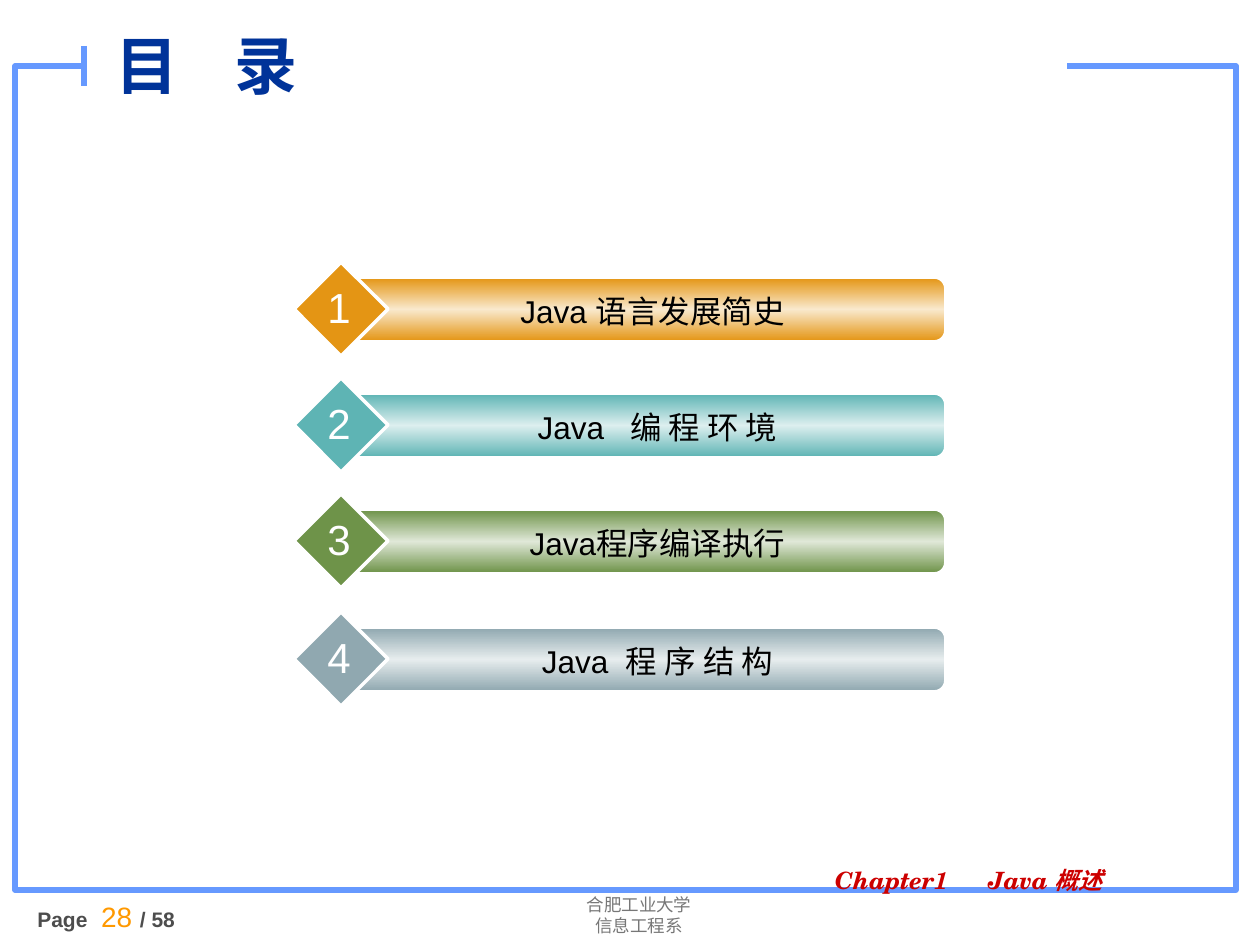
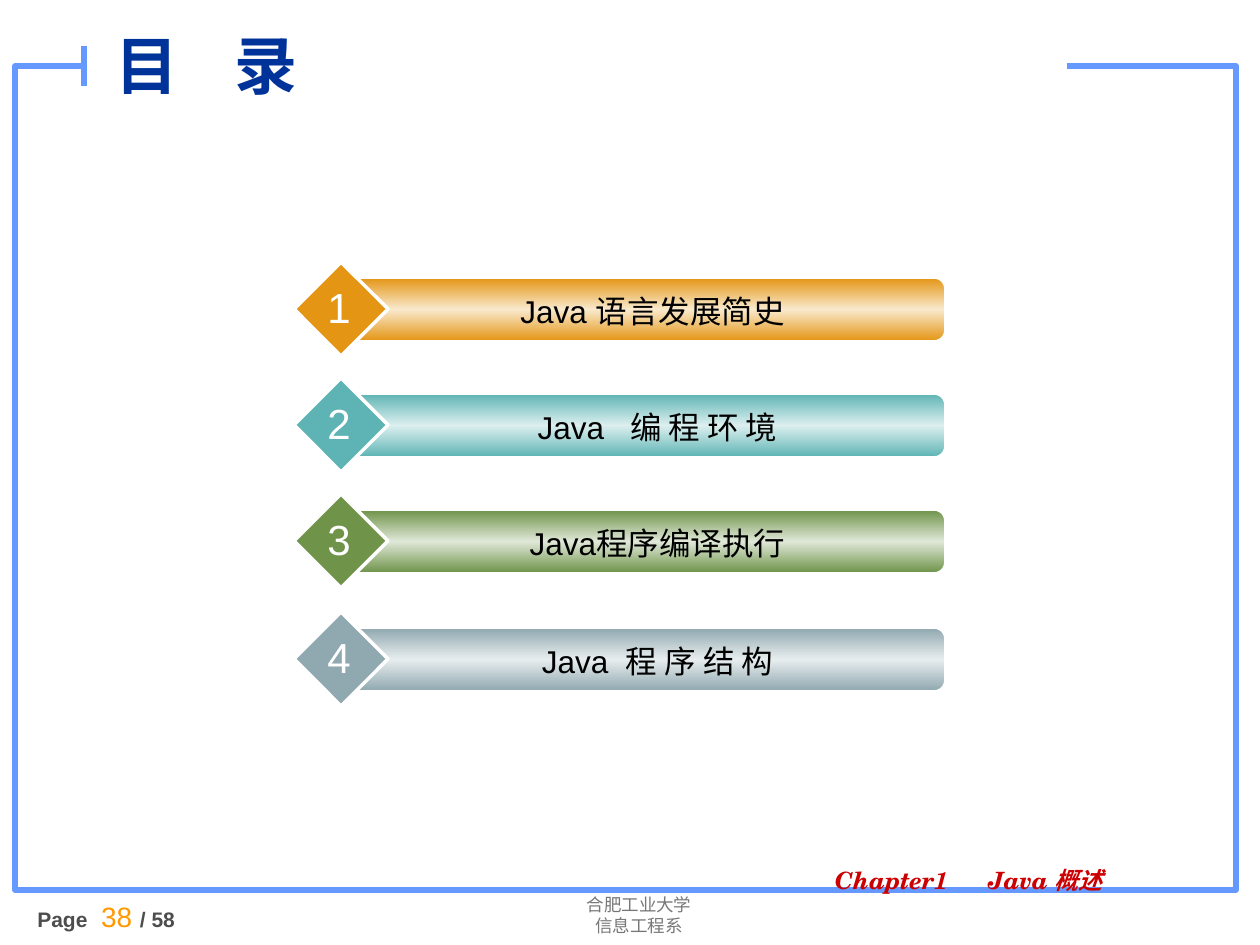
from copy import deepcopy
from dataclasses import dataclass
from typing import NamedTuple, Optional

from lxml.etree import SubElement
from pptx import Presentation
from pptx.dml.color import RGBColor as RGB
from pptx.enum.shapes import MSO_CONNECTOR as CONN, MSO_SHAPE as SHAPE
from pptx.enum.text import MSO_ANCHOR as ANCHOR, MSO_AUTO_SIZE as FIT, PP_ALIGN as ALIGN
from pptx.oxml.ns import qn
from pptx.util import Emu, Pt

EMU_PER_PX = 914400 / 126
TITLE_ONLY = 5
TOTAL_PAGES = 58


@dataclass(frozen=True)
class Theme:
    font: str = "Arial"
    school_font: str = "Roboto"
    chapter_font: str = "TeX Gyre Schola"
    white: str = "FFFFFF"
    black: str = "000000"
    frame: str = "6699FF"
    title: str = "003399"
    school: str = "777777"
    page: str = "4D4D4D"
    page_number: str = "FF9900"
    chapter: str = "CC0000"
    title_pt: float = 36
    digit_pt: float = 24
    label_pt: float = 18
    number_pt: float = 16
    chapter_pt: float = 13.6
    page_pt: float = 12
    school_pt: float = 10


T = Theme()


class Box(NamedTuple):
    x: int
    y: int
    w: int
    h: int


class Gap(NamedTuple):
    """One space widened by some points."""
    extra: float


class Topic(NamedTuple):
    top: int
    label_width: int
    color: str
    glow: str
    label: tuple


TOPICS = (
    Topic(278, 549, "E49514", "F9E9CD", ("Java 语言发展简史",)),
    Topic(394, 559, "5EB4B4", "DDEFEF", ("Java", Gap(10), "编 程 环 境")),
    Topic(510, 559, "6E9349", "E0E8D8", ("Java程序编译执行",)),
    Topic(628, 559, "90A8B0", "E7EDEE", ("Java", Gap(5), "程 序 结 构")),
)


def px(n: float) -> Emu:
    return Emu(round(n * EMU_PER_PX))


def emu(box: Box) -> tuple:
    return tuple(px(n) for n in box)


def rgb(color: str) -> RGB:
    return RGB.from_string(color)


def style(font, name: str, size: float, color: str, bold=False, italic=False) -> None:
    font.name, font.size, font.bold, font.italic = name, Pt(size), bold, italic
    font.color.rgb = rgb(color)


def add_parts(p, parts: tuple) -> None:
    for part in parts:
        r = p.add_run()
        if isinstance(part, Gap):
            r.text = " "
            r.font.element.set("spc", str(round(part.extra * 100))) if hasattr(
                r.font, "element") else r._r.get_or_add_rPr().set("spc", str(round(part.extra * 100)))
        else:
            r.text = part


def add_text(shapes, box: Box, lines: tuple, align=ALIGN.LEFT, wrap=True):
    """Add a text box with one paragraph for each tuple of parts."""
    tf = shapes.add_textbox(*emu(box)).text_frame
    tf.word_wrap = wrap
    for i, parts in enumerate(lines):
        p = tf.add_paragraph() if i else tf.paragraphs[0]
        p.alignment = align
        add_parts(p, parts)
    return tf


def add_block(shapes, kind, box: Box, fill: Optional[str] = None,
              line: Optional[str] = None, width: float = 1):
    sp = shapes.add_shape(kind, *emu(box))
    sp.shadow.inherit = False
    if fill:
        sp.fill.solid()
        sp.fill.fore_color.rgb = rgb(fill)
    else:
        sp.fill.background()
    if line:
        sp.line.color.rgb = rgb(line)
        sp.line.width = Pt(width)
    else:
        sp.line.fill.background()
    return sp


def fill_with_glow(sp, edge: str, middle: str) -> None:
    """Fill with a vertical gradient that is lightest halfway down."""
    sp.fill.gradient()
    sp.fill.gradient_angle = 90
    stops = sp.element.spPr.find(qn("a:gradFill")).find(qn("a:gsLst"))
    stops.append(deepcopy(stops[0]))
    for stop, position, color in zip(sp.fill.gradient_stops, (0, 0.5, 1), (edge, middle, edge)):
        stop.position = position
        stop.color.rgb = rgb(color)


def add_frame(shapes) -> None:
    add_block(shapes, SHAPE.RECTANGLE, Box(15, 66, 1221, 824), line=T.frame, width=3)
    add_block(shapes, SHAPE.RECTANGLE, Box(84, 35, 983, 44), fill=T.white)
    tick = shapes.add_connector(CONN.STRAIGHT, px(84), px(46), px(84), px(86))
    tick.line.color.rgb = rgb(T.frame)
    tick.line.width = Pt(3)
    SubElement(tick.element.spPr, qn("a:effectLst"))


def add_footers(shapes, page: int) -> None:
    school = add_text(shapes, Box(479, 888, 320, 55),
                      (("合肥工业大学",), ("信息工程系",)), ALIGN.CENTER)
    for p in school.paragraphs:
        style(p.font, T.school_font, T.school_pt, T.school)

    p = add_text(shapes, Box(25, 893, 228, 76),
                 (("Page", Gap(4.4), f"{page} ", f"/ {TOTAL_PAGES}"),)).paragraphs[0]
    p.space_before = Pt(7.5)
    style(p.font, T.font, T.page_pt, T.page, bold=True)
    style(p.runs[2].font, T.font, T.number_pt, T.page_number)

    chapter = add_text(shapes, Box(809, 863, 358, 44), (("Chapter1", Gap(19), "Java 概述"),))
    chapter.margin_left = px(26)
    p = chapter.paragraphs[0]
    p.line_spacing = 0.9
    style(p.font, T.chapter_font, T.chapter_pt, T.chapter, bold=True, italic=True)


def set_title(s, parts: tuple) -> None:
    title = s.shapes.title
    title.left, title.top, title.width, title.height = emu(Box(103, 14, 566, 101))
    title.element.getparent().append(title.element)  # in front of the frame
    tf = title.text_frame
    tf.vertical_anchor = ANCHOR.MIDDLE
    tf.auto_size = FIT.NONE
    p = tf.paragraphs[0]
    p.alignment = ALIGN.LEFT
    add_parts(p, parts)
    style(p.font, T.font, T.title_pt, T.title, bold=True)


def add_topic(shapes, number: int, topic: Topic) -> None:
    group = shapes.add_group_shape().shapes
    top = topic.top
    bar = add_block(group, SHAPE.ROUNDED_RECTANGLE, Box(346, top, 599, 63), line=T.white)
    bar.adjustments[0] = 0.17
    fill_with_glow(bar, topic.color, topic.glow)
    add_block(group, SHAPE.DIAMOND, Box(294, top - 16, 94, 94), topic.color, T.white, 2)
    label = add_text(group, Box(378, top + 8, topic.label_width, 50), (topic.label,), ALIGN.CENTER)
    style(label.paragraphs[0].font, T.font, T.label_pt, T.black)
    digit = add_text(group, Box(315, top - 3, 48, 63), ((str(number),),), ALIGN.CENTER, wrap=False)
    style(digit.paragraphs[0].font, T.font, T.digit_pt, T.white)


def add_contents_slide(prs, page: int) -> None:
    s = prs.slides.add_slide(prs.slide_layouts[TITLE_ONLY])
    add_frame(s.shapes)
    add_footers(s.shapes, page)
    set_title(s, ("目", Gap(24), "录"))
    for number, topic in enumerate(TOPICS, 1):
        add_topic(s.shapes, number, topic)


def main() -> None:
    prs = Presentation()
    prs.slide_width, prs.slide_height = px(1260), px(945)
    for page in (28, 38):
        add_contents_slide(prs, page)
    prs.save("out.pptx")


if __name__ == "__main__":
    main()
